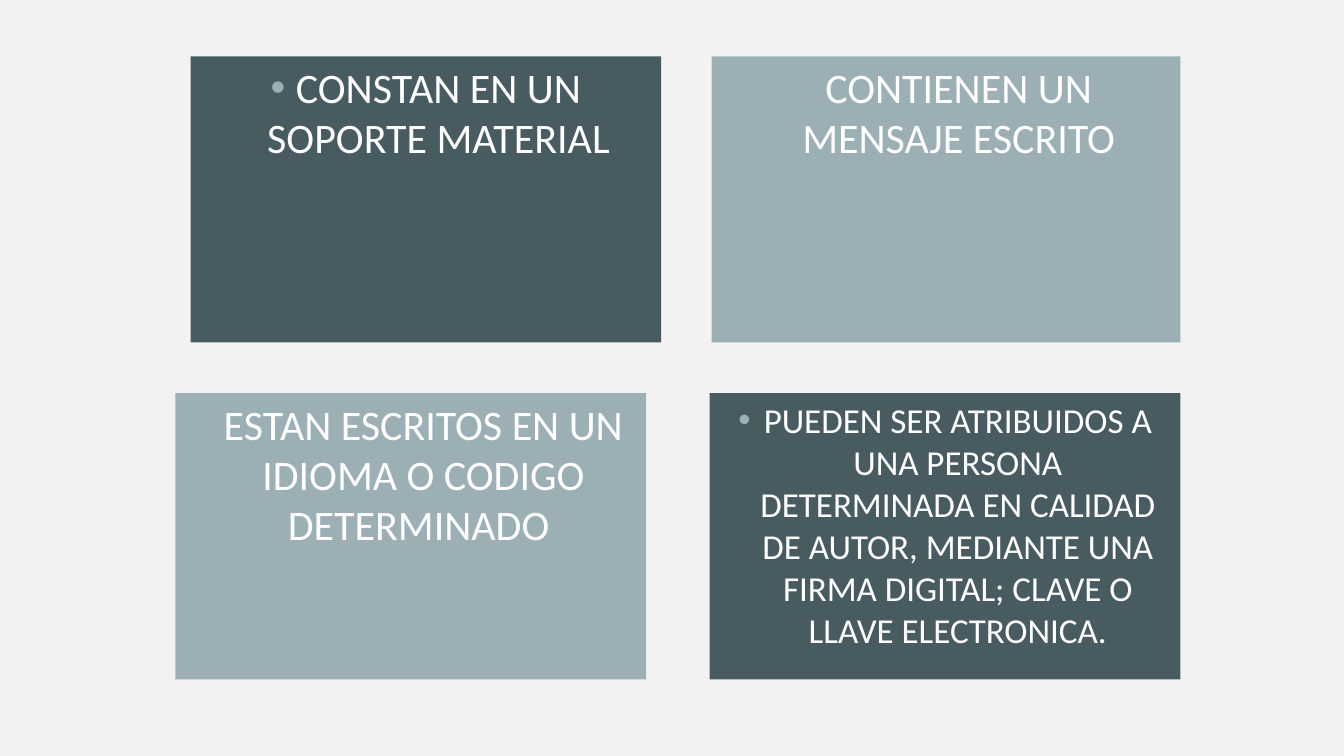
from pptx import Presentation
from pptx import util as u
from pptx.dml.color import RGBColor
from pptx.enum import shapes, text
from pptx.oxml import parse_xml
from pptx.oxml.ns import nsdecls

DARK = RGBColor(0x47, 0x5B, 0x61)
LIGHT = RGBColor(0x9B, 0xAF, 0xB5)
WHITE = RGBColor(0xFF, 0xFF, 0xFF)
PALE = RGBColor(0xF2, 0xF2, 0xF2)
TOP_ROW, BOTTOM_ROW = u.Cm(1.42), u.Cm(9.91)
CARD_HEIGHT = u.Cm(7.21)

deck = Presentation()
deck.slide_width, deck.slide_height = u.Cm(33.86), u.Cm(19.05)
slide = deck.slides.add_slide(deck.slide_layouts[3])
slide.background.fill.solid()
slide.background.fill.fore_color.rgb = PALE

title, support, message = slide.placeholders
title.element.getparent().remove(title.element)
language, authorship = [
    slide.shapes.add_shape(shapes.MSO_SHAPE.RECTANGLE, 0, BOTTOM_ROW, CARD_HEIGHT, CARD_HEIGHT)
    for _ in range(2)
]
for added in (language, authorship):
    added.shadow.inherit = False

features = [
    (support, 4.8, TOP_ROW, 11.86, DARK, 30, "CONSTAN EN UN SOPORTE MATERIAL"),
    (message, 17.93, TOP_ROW, 11.81, LIGHT, 30, "CONTIENEN UN MENSAJE ESCRITO"),
    (language, 4.42, BOTTOM_ROW, 11.86, LIGHT, 30,
     "ESTAN ESCRITOS EN UN IDIOMA O CODIGO DETERMINADO\u00a0"),
    (authorship, 17.88, BOTTOM_ROW, 11.86, DARK, 25,
     "PUEDEN SER ATRIBUIDOS A UNA PERSONA DETERMINADA EN CALIDAD DE AUTOR, "
     "MEDIANTE UNA FIRMA DIGITAL; CLAVE O LLAVE ELECTRONICA."),
]

for card, left, top, width, color, size, wording in features:
    card.left, card.top = u.Cm(left), top
    card.width, card.height = u.Cm(width), CARD_HEIGHT
    card.fill.solid()
    card.fill.fore_color.rgb = color
    card.line.fill.background()

    frame = card.text_frame
    frame.word_wrap = True
    frame.auto_size = text.MSO_AUTO_SIZE.NONE
    frame.vertical_anchor = text.MSO_ANCHOR.TOP

    feature = frame.paragraphs[0]
    feature.alignment = text.PP_ALIGN.CENTER
    feature.space_before = u.Pt(10)
    indents = feature._p.get_or_add_pPr()
    indents.set("marL", str(u.Cm(0.64)))
    indents.set("indent", str(u.Cm(-0.64)))
    for bullet in (
        f'<a:buClr {nsdecls("a")}><a:srgbClr val="{LIGHT}"/></a:buClr>',
        f'<a:buFont {nsdecls("a")} typeface="Arial"/>',
        f'<a:buChar {nsdecls("a")} char="•"/>',
    ):
        indents.append(parse_xml(bullet))

    words = feature.add_run()
    words.text = wording
    words.font.name = "Calibri"
    words.font.size = u.Pt(size)
    words.font.color.rgb = WHITE

deck.save("out.pptx")
